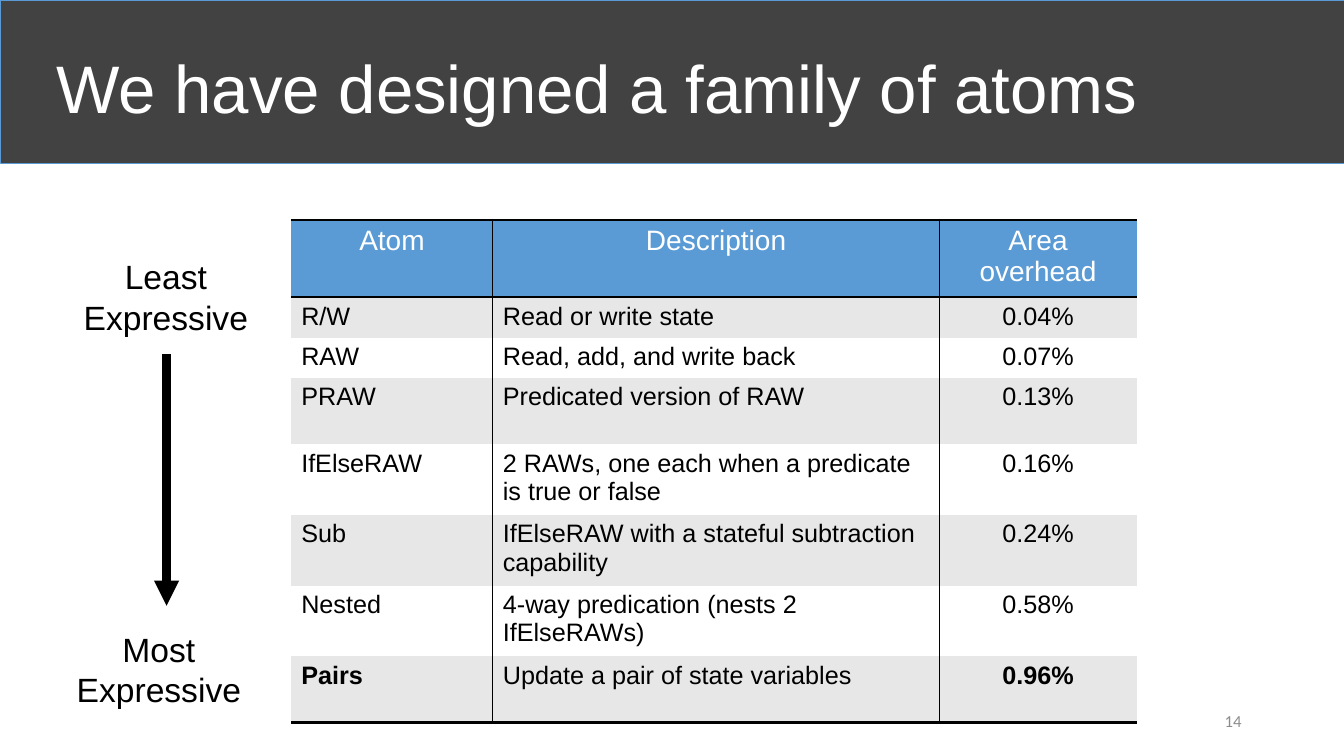
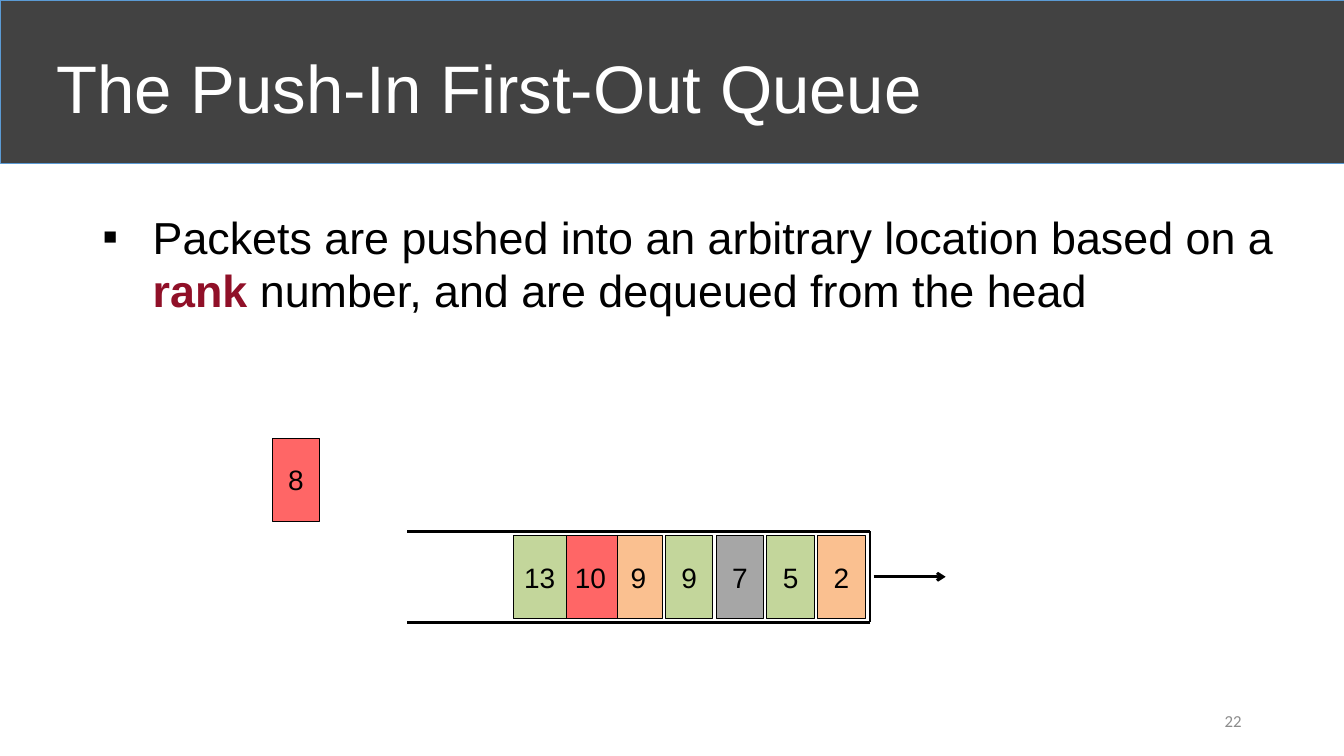
from pptx import Presentation
from pptx.dml.color import RGBColor
from pptx.enum.shapes import MSO_CONNECTOR, MSO_SHAPE
from pptx.enum.text import MSO_ANCHOR, MSO_AUTO_SIZE, PP_ALIGN
from pptx.oxml.ns import qn
from pptx.util import Pt
from lxml.etree import SubElement, Element

BLACK = RGBColor(0x00, 0x00, 0x00)
WHITE = RGBColor(0xFF, 0xFF, 0xFF)
CHARCOAL = RGBColor(0x42, 0x42, 0x42)
BLUE = RGBColor(0x5B, 0x9B, 0xD5)
STRIPE = RGBColor(0xE7, 0xE7, 0xE7)
FOOTER_GRAY = RGBColor(0x8C, 0x8C, 0x8C)
CRIMSON = RGBColor(0x90, 0x10, 0x28)
ORANGE = RGBColor(0xFA, 0xC0, 0x90)
GREEN = RGBColor(0xC3, 0xD6, 0x9B)
GRAY = RGBColor(0xA6, 0xA6, 0xA6)
RED = RGBColor(0xFF, 0x66, 0x66)

SLIDE_W, SLIDE_H = 960, 540
BAND_H = 116.6

ATOMS_TITLE = "We have designed a family of atoms"
ATOMS_HEADER = ("Atom", "Description", "Area overhead")
ATOMS = [
    ("R/W", "Read or write state", "0.04%"),
    ("RAW", "Read, add, and write back", "0.07%"),
    ("PRAW", "Predicated version of RAW", "0.13%"),
    ("IfElseRAW", "2 RAWs, one each when a predicate is true or false", "0.16%"),
    ("Sub", "IfElseRAW with a stateful subtraction capability", "0.24%"),
    ("Nested", "4-way predication (nests 2 IfElseRAWs)", "0.58%"),
    ("Pairs", "Update a pair of state variables", "0.96%"),
]
BOLD_CELLS = {"Pairs", "0.96%"}
COLUMN_WIDTHS = (144, 319, 141)
ROW_HEIGHTS = (45.4, 27.4, 27.4, 47.5, 48.2, 48.2, 47.5, 47.5)
# text, left, top
SCALE_LABELS = [(("Least", "Expressive"), 52, 179.5),
                (("Most", "Expressive"), 47, 445.7)]

QUEUE_TITLE = "The Push-In First-Out Queue"
QUEUE_POINT = [("Packets are pushed into an arbitrary location based on a ", False),
               ("rank ", True),
               ("number, and are dequeued from the head", False)]
# from the head of the queue to its tail
QUEUED = [("2", ORANGE), ("5", GREEN), ("7", GRAY), ("9", GREEN),
          ("9", ORANGE), ("10", RED), ("13", GREEN)]
ARRIVING = ("8", RED)
HEAD_LEFT, QUEUED_TOP, PACKET_PITCH = 584, 382.5, 36.25
QUEUE_LEFT, QUEUE_RIGHT, QUEUE_TOP, QUEUE_BOTTOM = 291, 621.5, 379.5, 444.5


def style(paragraph, size, color, align=PP_ALIGN.LEFT, name="Arial", bold=False):
    paragraph.alignment = align
    font = paragraph.font
    font.name, font.size, font.bold = name, Pt(size), bold
    font.color.rgb = color


def add_text(slide, lines, box, size, color=BLACK, wrap=True,
             anchor=MSO_ANCHOR.TOP, **styling):
    frame = slide.shapes.add_textbox(*map(Pt, box)).text_frame
    frame.word_wrap = wrap
    frame.vertical_anchor = anchor
    frame.text = "\n".join(lines)
    for paragraph in frame.paragraphs:
        style(paragraph, size, color, **styling)


def add_rect(slide, box, fill, line, line_width):
    rect = slide.shapes.add_shape(MSO_SHAPE.RECTANGLE, *map(Pt, box))
    rect.shadow.inherit = False
    rect.fill.solid()
    rect.fill.fore_color.rgb = fill
    rect.line.color.rgb = line
    rect.line.width = Pt(line_width)
    return rect


def add_line(slide, start, end, width, arrowhead=None):
    line = slide.shapes.add_connector(MSO_CONNECTOR.STRAIGHT, *map(Pt, start + end))
    line.line.color.rgb = BLACK
    line.line.width = Pt(width)
    properties = line._element.spPr
    if arrowhead:
        SubElement(properties.find(qn("a:ln")), qn("a:tailEnd"), type=arrowhead)
    SubElement(properties, qn("a:effectLst"))


def add_titled_slide(prs, title_text, number):
    """Add a slide with the dark band, its title and the slide number."""
    slide = prs.slides.add_slide(prs.slide_layouts[5])
    band = add_rect(slide, (0, 0, SLIDE_W, BAND_H), CHARCOAL, BLUE, 0.5)
    slide.shapes._spTree.insert(2, band._element)

    title = slide.shapes.title
    title.left, title.top, title.width, title.height = map(Pt, (33, 9.4, 828, 104.4))
    frame = title.text_frame
    frame.text = title_text
    frame.auto_size = MSO_AUTO_SIZE.NONE
    frame.vertical_anchor = MSO_ANCHOR.MIDDLE
    style(frame.paragraphs[0], 48, WHITE)

    add_text(slide, [number], (678, 500.5, 216, 28.8), 12, FOOTER_GRAY,
             anchor=MSO_ANCHOR.MIDDLE, align=PP_ALIGN.RIGHT, name="Calibri")
    return slide


def set_borders(cell, widths):
    """Draw the sides given as {side: points}; clear the other sides."""
    properties = cell._tc.get_or_add_tcPr()
    for index, side in enumerate("LRTB"):
        width = widths.get(side, 0)
        border = Element(qn(f"a:ln{side}"), w=str(Pt(width)))
        if width:
            fill = SubElement(border, qn("a:solidFill"))
            SubElement(fill, qn("a:srgbClr"), val=str(BLACK))
        else:
            SubElement(border, qn("a:noFill"))
        properties.insert(index, border)


def add_atom_table(slide):
    rows = [ATOMS_HEADER] + ATOMS
    last_row, last_column = len(rows) - 1, len(COLUMN_WIDTHS) - 1
    box = (208, 157, sum(COLUMN_WIDTHS), sum(ROW_HEIGHTS))
    table = slide.shapes.add_table(len(rows), len(COLUMN_WIDTHS), *map(Pt, box)).table
    for column, width in zip(table.columns, COLUMN_WIDTHS):
        column.width = Pt(width)
    for r, (texts, height) in enumerate(zip(rows, ROW_HEIGHTS)):
        table.rows[r].height = Pt(height)
        is_header = r == 0
        for c, text in enumerate(texts):
            cell = table.cell(r, c)
            cell.text = text
            cell.fill.solid()
            cell.fill.fore_color.rgb = BLUE if is_header else STRIPE if r % 2 else WHITE
            centered = is_header or c == last_column
            style(cell.text_frame.paragraphs[0], 20 if is_header else 18,
                  WHITE if is_header else BLACK,
                  PP_ALIGN.CENTER if centered else PP_ALIGN.LEFT,
                  bold=text in BOLD_CELLS)
            set_borders(cell, {"L": 1 if c else 0,
                               "R": 1 if c < last_column else 0,
                               "T": 2 if r < 2 else 0,
                               "B": 2 if r in (0, last_row) else 0})


def add_packet(slide, packet, left, top):
    rank, color = packet
    width = 34 if len(rank) == 1 else 38
    frame = add_rect(slide, (left, top, width, 59), color, BLACK, 0.75).text_frame
    frame.margin_left = frame.margin_right = 0
    frame.vertical_anchor = MSO_ANCHOR.MIDDLE
    frame.text = rank
    style(frame.paragraphs[0], 20, BLACK, PP_ALIGN.CENTER)


def add_queue_point(slide):
    frame = slide.shapes.add_textbox(*map(Pt, (66, 146, 864, 90))).text_frame
    frame.word_wrap = True
    paragraph = frame.paragraphs[0]
    properties = paragraph._p.get_or_add_pPr()
    properties.set("marL", str(Pt(36)))
    properties.set("indent", str(Pt(-36)))
    SubElement(properties, qn("a:buFont"), typeface="Arial")
    SubElement(properties, qn("a:buChar"), char="▪")
    style(paragraph, 32, BLACK)
    for text, emphasized in QUEUE_POINT:
        run = paragraph.add_run()
        run.text = text
        if emphasized:
            run.font.bold = True
            run.font.color.rgb = CRIMSON


def build_atoms_slide(prs):
    slide = add_titled_slide(prs, ATOMS_TITLE, "14")
    add_atom_table(slide)
    add_line(slide, (119, 252.7), (119, 432.7), 6, "triangle")
    for lines, left, top in SCALE_LABELS:
        add_text(slide, lines, (left, top, 133, 65.5), 24, wrap=False,
                 align=PP_ALIGN.CENTER)


def build_queue_slide(prs):
    slide = add_titled_slide(prs, QUEUE_TITLE, "22")
    add_queue_point(slide)
    add_line(slide, (624, 412), (675.5, 412), 2, "arrow")
    outline = [(QUEUE_LEFT, QUEUE_TOP), (QUEUE_RIGHT, QUEUE_TOP),
               (QUEUE_RIGHT, QUEUE_BOTTOM), (QUEUE_LEFT, QUEUE_BOTTOM)]
    for start, end in zip(outline, outline[1:]):
        add_line(slide, start, end, 2)
    for place, packet in enumerate(QUEUED):
        add_packet(slide, packet, HEAD_LEFT - place * PACKET_PITCH, QUEUED_TOP)
    add_packet(slide, ARRIVING, 194.4, 313.2)


def main():
    prs = Presentation()
    prs.slide_width, prs.slide_height = Pt(SLIDE_W), Pt(SLIDE_H)
    build_atoms_slide(prs)
    build_queue_slide(prs)
    prs.save("out.pptx")


if __name__ == "__main__":
    main()
